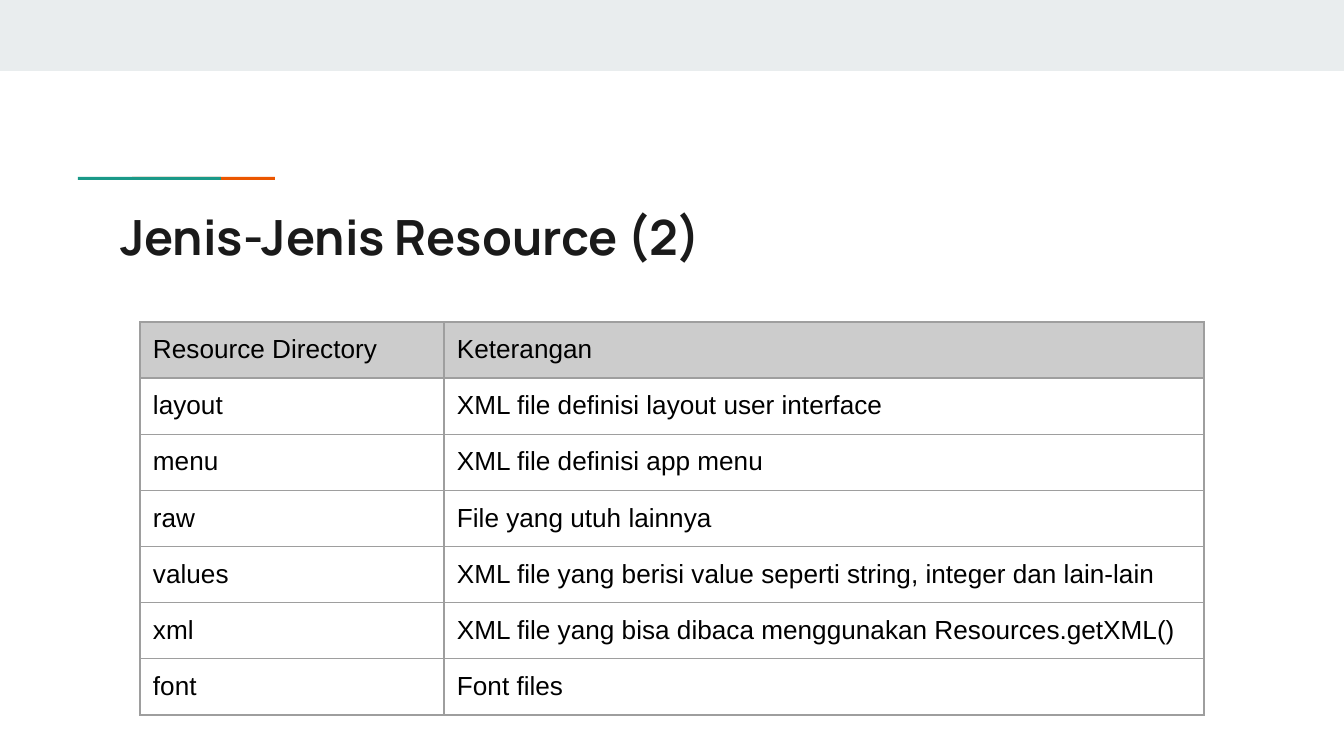
from lxml.etree import SubElement
from pptx import Presentation
from pptx.dml.color import RGBColor
from pptx.enum.shapes import MSO_SHAPE
from pptx.enum.text import MSO_ANCHOR, MSO_AUTO_SIZE, PP_ALIGN
from pptx.oxml.ns import qn
from pptx.util import Pt

SCALE = 914400 / 134.4
WIDE, HIGH = 1344, 756
PAD = 13
COLORS = {
    "band": "E9EDEE",
    "orange": "EB5600",
    "teal": "1A9988",
    "title": "1A1A1A",
    "text": "000000",
    "head": "CCCCCC",
    "rule": "9E9E9E",
}
ROWS = [
    ("Resource Directory", "Keterangan"),
    ("layout", "XML file definisi layout user interface"),
    ("menu", "XML file definisi app menu"),
    ("raw", "File yang utuh lainnya"),
    ("values", "XML file yang berisi value seperti string, integer dan lain-lain"),
    ("xml", "XML file yang bisa dibaca menggunakan Resources.getXML()"),
    ("font", "Font files"),
]


def px(count):
    """Turn px into EMU."""
    return round(count * SCALE)


def color(name):
    """Look up a colour by name."""
    return RGBColor.from_string(COLORS[name])


def write(frame, text, size=14, font="Arial", fill="text", bold=False):
    """Put one formatted, left-aligned paragraph in a text frame."""
    frame.text = text
    frame.word_wrap = True
    line = frame.paragraphs[0]
    line.alignment = PP_ALIGN.LEFT
    line.line_spacing = 1.0
    line.space_before = Pt(0)
    run = line.runs[0].font
    run.name, run.size, run.bold = font, Pt(size), bold
    run.color.rgb = color(fill)


def block(slide, box, fill):
    """Draw a plain filled rectangle."""
    shape = slide.shapes.add_shape(MSO_SHAPE.RECTANGLE, *map(px, box))
    shape.shadow.inherit = False
    shape.fill.solid()
    shape.fill.fore_color.rgb = color(fill)
    shape.line.fill.background()


def accent(slide, box):
    """Draw the two-colour stripe, with teal lying over orange."""
    left, top, width, height = box
    part = 143
    block(slide, (left + width - part, top, part, height), "orange")
    block(slide, (left, top, part, height), "teal")


def title(slide, box, text):
    """Place and format the title placeholder."""
    shape = slide.shapes.title
    shape.left, shape.top, shape.width, shape.height = map(px, box)
    frame = shape.text_frame
    frame.auto_size = MSO_AUTO_SIZE.NONE
    frame.vertical_anchor = MSO_ANCHOR.TOP
    frame.margin_left = frame.margin_right = px(PAD)
    frame.margin_top = frame.margin_bottom = px(PAD)
    write(frame, text, size=26, font="Manrope", fill="title", bold=True)


def border(cell):
    """Rule all four sides of a cell."""
    props = cell._tc.get_or_add_tcPr()
    for side in ("lnL", "lnR", "lnT", "lnB"):
        line = SubElement(props, qn(f"a:{side}"), w=str(Pt(0.75)))
        fill = SubElement(line, qn("a:solidFill"))
        SubElement(fill, qn("a:srgbClr"), val=COLORS["rule"])


def grid(slide, box, rows, first):
    """Build the table with a grey heading row."""
    left, top, width, height = box
    frame = slide.shapes.add_table(len(rows), 2, *map(px, box))
    table = frame.table
    table.first_row = table.horz_banding = False
    for col, size in zip(table.columns, (first, width - first)):
        col.width = px(size)
    for r, row in enumerate(rows):
        table.rows[r].height = px(height / len(rows))
        for c, text in enumerate(row):
            cell = table.cell(r, c)
            cell.margin_left = cell.margin_right = px(PAD)
            cell.margin_top = cell.margin_bottom = px(PAD)
            write(cell.text_frame, text)
            border(cell)
            if r == 0:
                cell.fill.solid()
                cell.fill.fore_color.rgb = color("head")
            else:
                cell.fill.background()


def main():
    """Build and save the slide."""
    deck = Presentation()
    deck.slide_width, deck.slide_height = px(WIDE), px(HIGH)
    slide = deck.slides.add_slide(deck.slide_layouts[5])
    block(slide, (0, 0, WIDE, 71), "band")
    accent(slide, (78, 177, 197, 3))
    title(slide, (107, 194, 1130, 79), "Jenis-Jenis Resource (2)")
    grid(slide, (140, 322, 1064, 393), ROWS, 304)
    deck.save("out.pptx")


if __name__ == "__main__":
    main()
